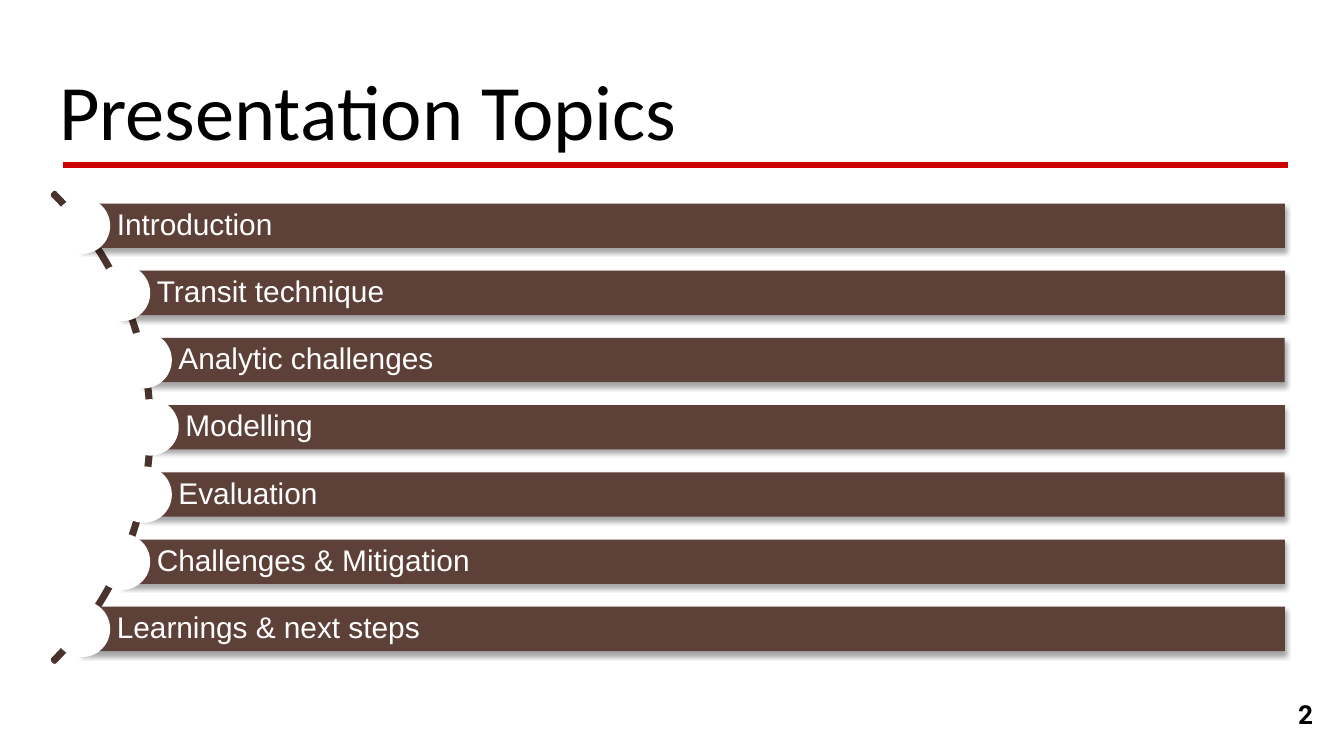
import math
from dataclasses import dataclass

from lxml import etree
from pptx import Presentation
from pptx import util as u
from pptx.dml.color import RGBColor
from pptx.enum import shapes, text
from pptx.oxml.ns import qn

BLACK = RGBColor(0x00, 0x00, 0x00)
WHITE = RGBColor(0xFF, 0xFF, 0xFF)
RED = RGBColor(0xCC, 0x00, 0x00)
BROWN = RGBColor(0x5D, 0x40, 0x37)
DARK_BROWN = RGBColor(0x4A, 0x33, 0x2C)

# The topic markers sit on a circle centred left of the slide
ARC_X, ARC_Y, ARC_RADIUS = -1.34, 3.18, 2.47
MARKER_RADIUS = 2.46
BAR_RIGHT, BAR_HEIGHT, BAR_PITCH = 9.56, 0.33, 0.5
MARKER_SIZE = 0.42

TOPICS = [
    "Introduction",
    "Transit technique",
    "Analytic challenges",
    "Modelling",
    "Evaluation",
    "Challenges & Mitigation",
    "Learnings & next steps",
]


@dataclass
class Topic:
    label: str
    x: float
    y: float


def place_topics(labels: list[str]) -> list[Topic]:
    """Space the topics evenly down the arc."""
    topics = []
    for index, label in enumerate(labels):
        offset = (index - (len(labels) - 1) / 2) * BAR_PITCH
        x = ARC_X + math.sqrt(MARKER_RADIUS ** 2 - offset ** 2)
        topics.append(Topic(label, x, ARC_Y + offset))
    return topics


def write(shape, words: str, font: dict, color: RGBColor, align, anchor,
          insets: tuple = (0.1, 0.1, 0.1, 0.1)) -> None:
    frame = shape.text_frame
    frame.text = words
    left, top, right, bottom = (u.Inches(inset) for inset in insets)
    frame_format = {
        "word_wrap": True, "auto_size": text.MSO_AUTO_SIZE.NONE,
        "vertical_anchor": anchor, "margin_left": left, "margin_top": top,
        "margin_right": right, "margin_bottom": bottom,
    }
    for name, value in frame_format.items():
        setattr(frame, name, value)
    paragraph = frame.paragraphs[0]
    paragraph.alignment = align
    run_font = paragraph.runs[0].font
    for name, value in font.items():
        setattr(run_font, name, value)
    run_font.color.rgb = color


def add_plain_shape(slide, kind, x: float, y: float, width: float, height: float,
                    fill: RGBColor | None = None):
    shape = slide.shapes.add_shape(kind, u.Inches(x), u.Inches(y),
                                   u.Inches(width), u.Inches(height))
    shape.shadow.inherit = False
    shape.line.fill.background()
    if fill is None:
        shape.fill.background()
    else:
        shape.fill.solid()
        shape.fill.fore_color.rgb = fill
    return shape


def add_shadow(shape) -> None:
    effects = shape._element.spPr.find(qn("a:effectLst"))
    shadow = etree.SubElement(effects, qn("a:outerShdw"), {
        "blurRad": str(u.Pt(3.1)), "dist": str(u.Pt(1.8)),
        "dir": "5400000", "rotWithShape": "0"})
    color = etree.SubElement(shadow, qn("a:srgbClr"), val=str(BLACK))
    etree.SubElement(color, qn("a:alpha"), val="35000")


def add_topic(slide, topic: Topic) -> None:
    bar = add_plain_shape(slide, shapes.MSO_SHAPE.RECTANGLE, topic.x,
                          topic.y - BAR_HEIGHT / 2, BAR_RIGHT - topic.x,
                          BAR_HEIGHT, BROWN)
    add_shadow(bar)
    write(bar, topic.label, {"name": "Arial", "size": u.Pt(16)}, WHITE,
          text.PP_ALIGN.LEFT, text.MSO_ANCHOR.MIDDLE, (0.26, 0.04, 0.04, 0.04))
    bar.text_frame.paragraphs[0].line_spacing = 0.9
    add_plain_shape(slide, shapes.MSO_SHAPE.OVAL, topic.x - MARKER_SIZE / 2,
                    topic.y - MARKER_SIZE / 2, MARKER_SIZE, MARKER_SIZE, WHITE)


def main() -> None:
    # Widescreen 16:9 page
    deck = Presentation()
    deck.slide_width = u.Inches(10)
    deck.slide_height = u.Inches(10 * 9 / 16)
    slide = deck.slides.add_slide(deck.slide_layouts[5])

    # Title and red rule
    title = slide.shapes.title
    title_box = {"left": 0.34, "top": 0.35, "width": 9.32, "height": 0.91}
    for name, value in title_box.items():
        setattr(title, name, u.Inches(value))
    write(title, "Presentation Topics", {"name": "Calibri", "size": u.Pt(42)},
          BLACK, text.PP_ALIGN.LEFT, text.MSO_ANCHOR.BOTTOM)
    rule = slide.shapes.add_connector(
        shapes.MSO_CONNECTOR.STRAIGHT, u.Inches(0.47), u.Inches(1.23),
        u.Inches(9.58), u.Inches(1.23))
    rule.line.color.rgb = RED
    rule.line.width = u.Pt(3)
    etree.SubElement(rule._element.spPr, qn("a:effectLst"))

    # Page number
    page_number = slide.shapes.add_textbox(u.Inches(9.27), u.Inches(5.1),
                                           u.Inches(0.6), u.Inches(0.43))
    write(page_number, "2", {"name": "Roboto", "size": u.Pt(14), "bold": True},
          BLACK, text.PP_ALIGN.RIGHT, text.MSO_ANCHOR.MIDDLE)

    # Arc behind the topics
    arc = add_plain_shape(slide, shapes.MSO_SHAPE.BLOCK_ARC,
                          ARC_X - ARC_RADIUS, ARC_Y - ARC_RADIUS,
                          2 * ARC_RADIUS, 2 * ARC_RADIUS)
    for index, value in enumerate((189, 27, 0.005)):
        arc.adjustments[index] = value
    arc.line.color.rgb = DARK_BROWN
    arc.line.width = u.Pt(2)

    # Topic bars with round markers
    for topic in place_topics(TOPICS):
        add_topic(slide, topic)

    deck.save("out.pptx")


if __name__ == "__main__":
    main()
